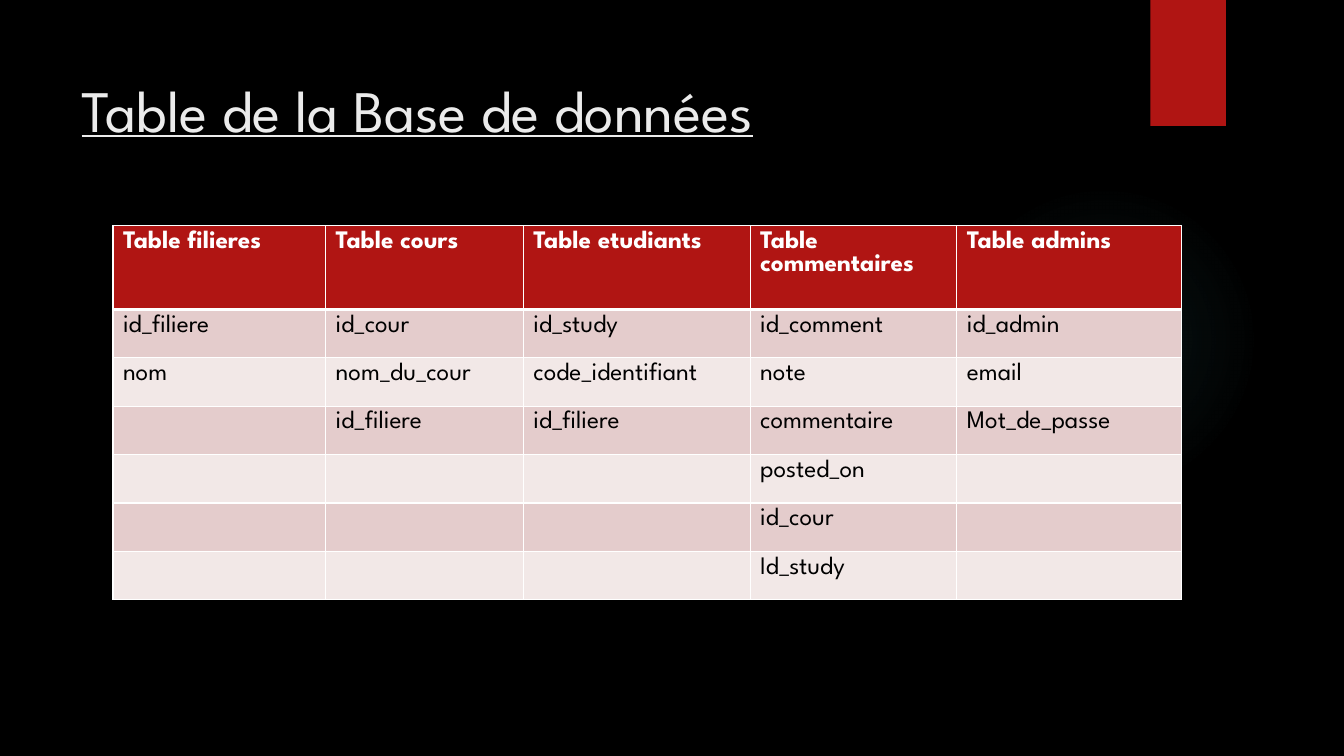
"""Build the slide that lists the columns of each database table."""
import itertools
import pptx
import pptx.dml.color
import pptx.enum.shapes
import pptx.enum.text
import pptx.oxml
import pptx.oxml.ns
import pptx.util

PX = 9144
THEME = {
    "font": "League Spartan", "title_size": 42, "table_size": 18,
    "background": "000000", "title": "EBEBEB", "accent": "B01513", "glow": "50B9C1",
    "header_text": "FFFFFF", "body_text": "000000", "border": "FFFFFF",
    "bands": ("E4CCCC", "F2E8E7"), "shadow": "000000",
}
TABLES = {
    "Table filieres": ["id_filiere", "nom"],
    "Table cours": ["id_cour", "nom_du_cour", "id_filiere"],
    "Table etudiants": ["id_study", "code_identifiant", "id_filiere"],
    "Table commentaires": ["id_comment", "note", "commentaire", "posted_on", "id_cour", "Id_study"],
    "Table admins": ["id_admin", "email", "Mot_de_passe"],
}
COLUMN_WIDTHS = [211, 196, 225, 205, 223]
ROW_HEIGHTS = [83] + [48] * 6
GLOW_STOPS = [(0, 7), (36, 6), (69, 0)]
NS = pptx.oxml.ns.nsdecls("a")


def rgb(name):
    return pptx.dml.color.RGBColor.from_string(name)


def write(frame, text, color, **font_format):
    run = frame.paragraphs[0].add_run()
    run.text = text
    run.font.color.rgb = rgb(color)
    for name, value in {"name": THEME["font"], **font_format}.items():
        setattr(run.font, name, value)


deck = pptx.Presentation()
deck.slide_width, deck.slide_height = 1333 * PX, 750 * PX
slide = deck.slides.add_slide(deck.slide_layouts[5])
slide.background.fill.solid()
slide.background.fill.fore_color.rgb = rgb(THEME["background"])

kinds = pptx.enum.shapes.MSO_SHAPE
glow = slide.shapes.add_shape(kinds.OVAL, 941 * PX, 183 * PX, 308 * PX, 308 * PX)
ribbon = slide.shapes.add_shape(kinds.RECTANGLE, 1141 * PX, 0, 75 * PX, 125 * PX)
for decoration in (glow, ribbon):
    decoration.shadow.inherit = False
    decoration.line.fill.background()

stops = "".join(
    f'<a:gs pos="{place * 1000}"><a:srgbClr val="{THEME["glow"]}">'
    f'<a:alpha val="{alpha * 1000}"/></a:srgbClr></a:gs>'
    for place, alpha in GLOW_STOPS)
glow.fill.background()
glow_properties = glow._element.spPr
glow_properties.replace(
    glow_properties.find(pptx.oxml.ns.qn("a:noFill")),
    pptx.oxml.parse_xml(
        f'<a:gradFill {NS}><a:gsLst>{stops}</a:gsLst><a:path path="circle">'
        '<a:fillToRect l="50000" t="50000" r="50000" b="50000"/></a:path></a:gradFill>'))

ribbon.fill.solid()
ribbon.fill.fore_color.rgb = rgb(THEME["accent"])
ribbon._element.spPr.find(pptx.oxml.ns.qn("a:effectLst")).append(pptx.oxml.parse_xml(
    f'<a:outerShdw {NS} blurRad="38100" dist="25400" dir="5400000" rotWithShape="0">'
    f'<a:srgbClr val="{THEME["shadow"]}"><a:alpha val="45000"/></a:srgbClr></a:outerShdw>'))

title = slide.shapes.title
title_box = {"left": 71, "top": 50, "width": 1029, "height": 153}
for name, value in title_box.items():
    setattr(title, name, value * PX)
title_format = {
    "vertical_anchor": pptx.enum.text.MSO_ANCHOR.TOP,
    "margin_top": 23 * PX, "word_wrap": True,
    "auto_size": pptx.enum.text.MSO_AUTO_SIZE.NONE,
}
for name, value in title_format.items():
    setattr(title.text_frame, name, value)
title.text_frame.paragraphs[0].alignment = pptx.enum.text.PP_ALIGN.LEFT
write(title.text_frame, "Table de la Base de données", THEME["title"],
      size=pptx.util.Pt(THEME["title_size"]), underline=True)

schema = slide.shapes.add_table(
    len(ROW_HEIGHTS), len(TABLES), 112 * PX, 224 * PX,
    sum(COLUMN_WIDTHS) * PX, sum(ROW_HEIGHTS) * PX).table
for column, width in zip(schema.columns, COLUMN_WIDTHS):
    column.width = width * PX
for row, height in zip(schema.rows, ROW_HEIGHTS):
    row.height = height * PX

lines = itertools.zip_longest(*([heading, *fields] for heading, fields in TABLES.items()))
for row_index, entries in enumerate(lines):
    is_header = row_index == 0
    fill = THEME["accent"] if is_header else THEME["bands"][(row_index - 1) % 2]
    borders = {"L": 1, "R": 1, "T": 3 if row_index == 1 else 1, "B": 3 if is_header else 1}
    for column_index, entry in enumerate(entries):
        cell = schema.cell(row_index, column_index)
        cell_properties = cell._tc.get_or_add_tcPr()
        for side, points in borders.items():
            cell_properties.append(pptx.oxml.parse_xml(
                f'<a:ln{side} {NS} w="{pptx.util.Pt(points)}"><a:solidFill>'
                f'<a:srgbClr val="{THEME["border"]}"/></a:solidFill></a:ln{side}>'))
        cell.fill.solid()
        cell.fill.fore_color.rgb = rgb(fill)
        if entry:
            write(cell.text_frame, entry,
                  THEME["header_text" if is_header else "body_text"],
                  size=pptx.util.Pt(THEME["table_size"]), bold=is_header)

deck.save("out.pptx")
